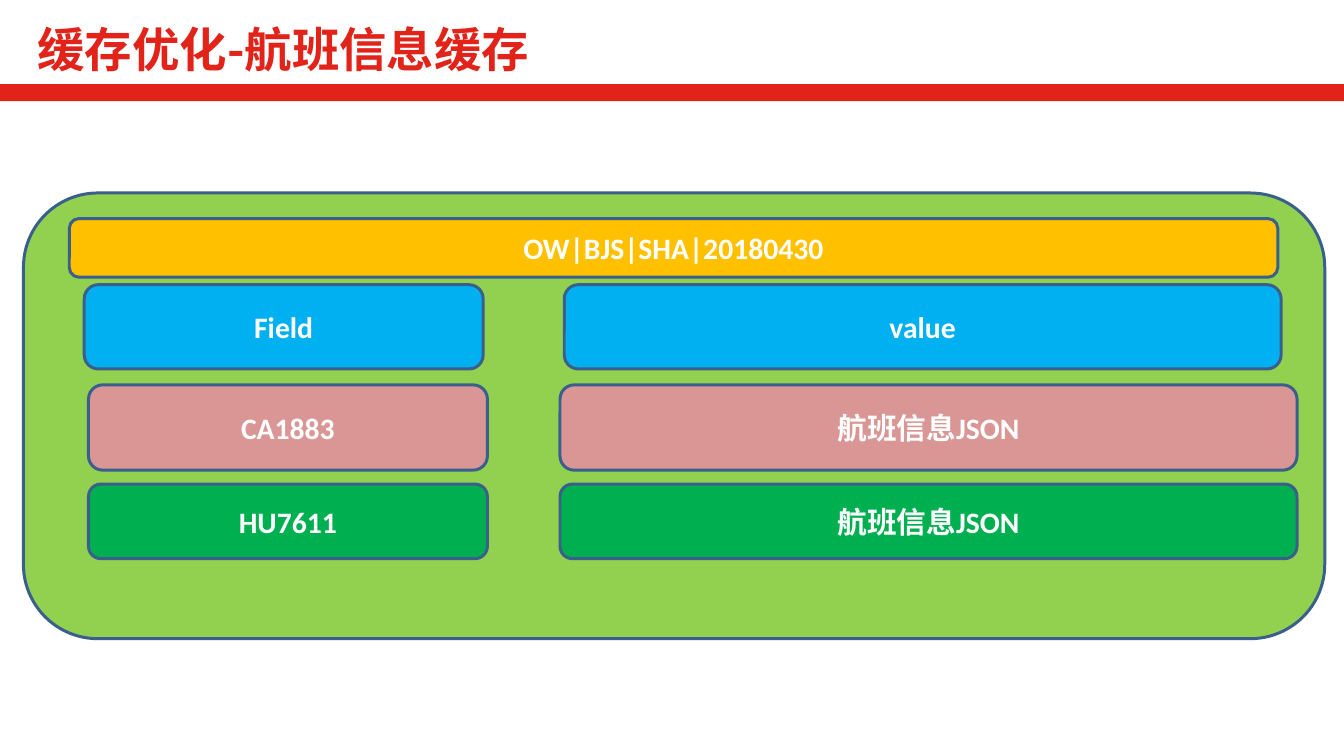
from pptx import Presentation
from pptx.dml.color import RGBColor
from pptx.enum import shapes, text
from pptx.oxml import ns
from pptx.util import Inches, Pt
from lxml import etree

COLORS = {
    "red": "E2231A", "outline": "3A5F8C", "panel": "92D050", "key": "FFC000",
    "header": "00B0F0", "first": "D99694", "second": "00B050", "white": "FFFFFF",
}
LATIN, CHINESE = "Calibri", "Noto Sans CJK SC"

# Table-like rows: top, height, colour, then (left, width, label) per cell
ROWS = [
    (2.05, 0.55, "key", [(0.65, 11.33, "OW|BJS|SHA|20180430")]),
    (2.67, 0.79, "header", [(0.79, 3.74, "Field"), (5.29, 6.72, "value")]),
    (3.61, 0.8, "first", [(0.83, 3.74, "CA1883"), (5.25, 6.91, "航班信息JSON")]),
    (4.54, 0.7, "second", [(0.83, 3.74, "HU7611"), (5.25, 6.91, "航班信息JSON")]),
]


def rgb(name):
    return RGBColor.from_string(COLORS[name])


def write(shape, label, align, anchor, size, font, color):
    frame = shape.text_frame
    frame_format = {"word_wrap": True, "auto_size": text.MSO_AUTO_SIZE.NONE,
                    "vertical_anchor": anchor}
    for name, value in frame_format.items():
        setattr(frame, name, value)
    paragraph = frame.paragraphs[0]
    paragraph.alignment = align
    run = paragraph.add_run()
    run.text = label
    run.font.color.rgb = rgb(color)
    for name, value in {"size": Pt(size), "bold": True, "name": font}.items():
        setattr(run.font, name, value)
    # Font for Chinese characters
    latin = run.font._element.find(ns.qn("a:latin"))
    east_asian = etree.Element(ns.qn("a:ea"), typeface=CHINESE)
    latin.addnext(east_asian)


def add_block(slide, kind, box, fill, outline=None):
    shape = slide.shapes.add_shape(kind, *map(Inches, box))
    shape.shadow.inherit = False
    shape.fill.solid()
    shape.fill.fore_color.rgb = rgb(fill)
    if outline:
        shape.line.color.rgb = rgb(outline)
        shape.line.width = Pt(2)
    else:
        shape.line.fill.background()
    return shape


def add_title(slide, label):
    title = slide.shapes.title
    position = {"left": 0.25, "top": 0.14, "width": 6.69, "height": 0.71}
    for name, value in position.items():
        setattr(title, name, Inches(value))
    write(title, label, text.PP_ALIGN.LEFT, text.MSO_ANCHOR.TOP, 32, CHINESE, "red")


def add_row(slide, top, height, fill, cells):
    for left, width, label in cells:
        cell = add_block(slide, shapes.MSO_SHAPE.ROUNDED_RECTANGLE,
                         (left, top, width, height), fill, "outline")
        write(cell, label, text.PP_ALIGN.CENTER, text.MSO_ANCHOR.MIDDLE,
              20, LATIN, "white")


def main():
    presentation = Presentation()
    presentation.slide_width = Inches(12.6)
    presentation.slide_height = Inches(7.09)
    slide = presentation.slides.add_slide(presentation.slide_layouts[5])

    # Title and red rule
    add_title(slide, "缓存优化-航班信息缓存")
    add_block(slide, shapes.MSO_SHAPE.RECTANGLE, (0, 0.79, 12.6, 0.16), "red")

    # Cache panel and its rows
    add_block(slide, shapes.MSO_SHAPE.ROUNDED_RECTANGLE,
              (0.22, 1.81, 12.2, 4.18), "panel", "outline")
    for row in ROWS:
        add_row(slide, *row)

    presentation.save("out.pptx")


if __name__ == "__main__":
    main()
